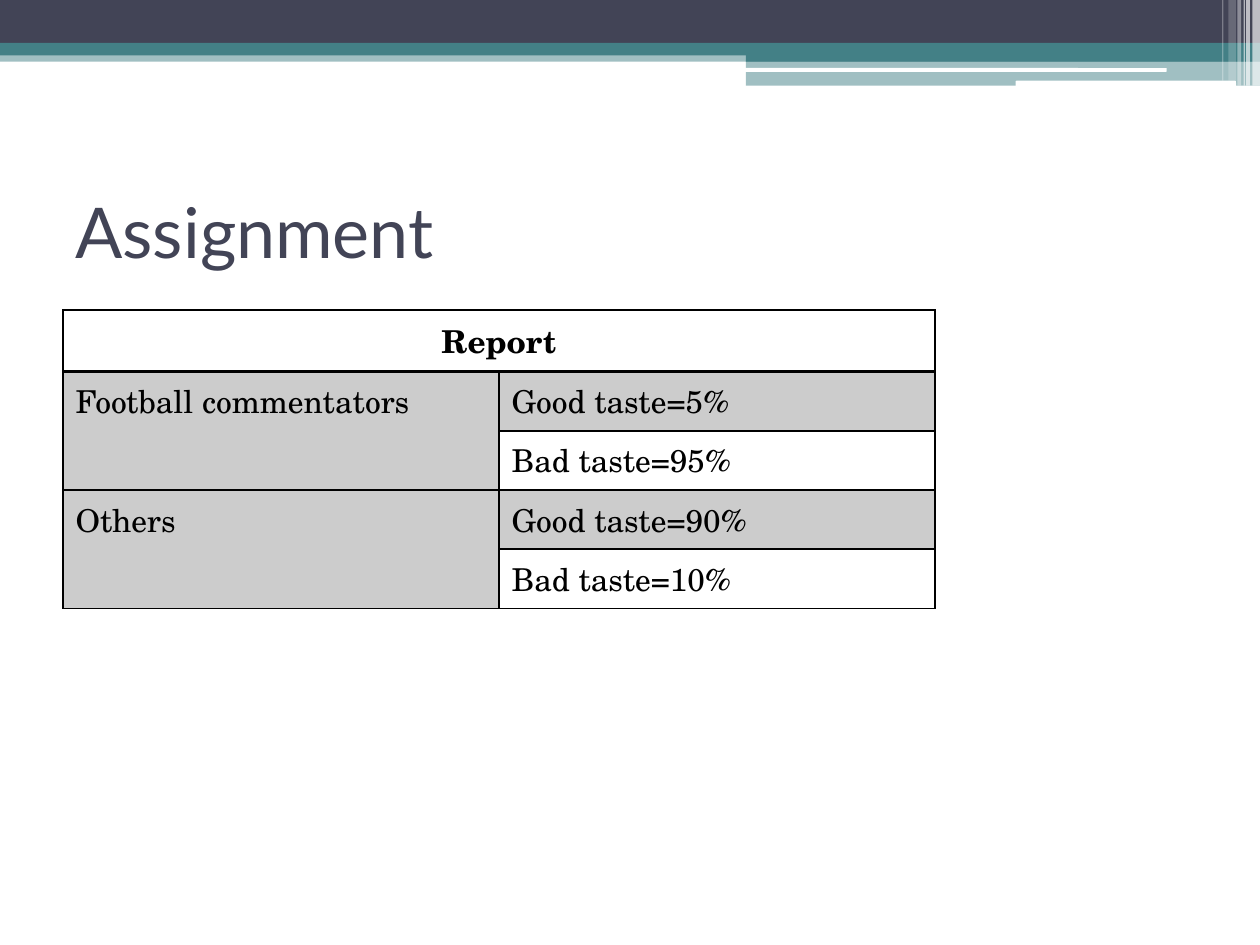
from lxml import etree
from pptx import Presentation
from pptx.dml.color import RGBColor
from pptx.enum import shapes, text
from pptx.oxml.ns import qn
from pptx.util import Inches, Pt

HUES = {"navy": "424456", "teal": "438086", "white": "FFFFFF", "black": "000000"}


def paint(fill, node, hue, alpha):
    """Fill solidly; node is the XML element that holds the fill."""
    fill.solid()
    fill.fore_color.rgb = RGBColor.from_string(HUES[hue])
    if alpha < 100:
        color = node.find(qn("a:solidFill"))[0]
        etree.SubElement(color, qn("a:alpha"), val=str(alpha * 1000))


def write(frame, words, size, font, hue, bold=False):
    run = frame.paragraphs[0].add_run()
    run.text = words
    run.font.size = Pt(size)
    run.font.name = font
    run.font.bold = bold
    run.font.color.rgb = RGBColor.from_string(HUES[hue])


deck = Presentation()
deck.slide_width, deck.slide_height = Inches(10), Inches(7.5)
slide = deck.slides.add_slide(deck.slide_layouts[6])

# Header bands and the stripes at the right edge
RECT = shapes.MSO_SHAPE.RECTANGLE
ROUND = shapes.MSO_SHAPE.ROUNDED_RECTANGLE
bands = [
    (RECT, 0, 0.4, 10, 0.09, "teal", 50),
    (RECT, 0, 0, 10, 0.34, "navy", 100),
    (RECT, 0, 0.34, 10, 0.1, "teal", 100),
    (RECT, 5.92, 0.39, 4.08, 0.1, "teal", 100),
    (RECT, 5.92, 0.48, 4.08, 0.2, "teal", 50),
    (ROUND, 5.91, 0.54, 3.35, 0.03, "white", 100),
    (ROUND, 8.06, 0.64, 1.75, 0.05, "white", 100),
]
stripes = [
    (9.94, 0.06, 0.68, 65), (9.89, 0.03, 0.68, 65), (9.87, 0.01, 0.68, 60),
    (9.82, 0.03, 0.68, 40), (9.75, 0.06, 0.64, 20), (9.7, 0.01, 0.64, 30),
]
bands += [(RECT, x, 0, w, h, "white", alpha) for x, w, h, alpha in stripes]
for kind, x, y, w, h, hue, alpha in bands:
    band = slide.shapes.add_shape(kind, Inches(x), Inches(y), Inches(w), Inches(h))
    band.shadow.inherit = False
    band.line.fill.background()
    paint(band.fill, band.element.spPr, hue, alpha)

title = slide.shapes.add_textbox(Inches(0.5), Inches(1.25), Inches(9), Inches(1.16))
title.text_frame.word_wrap = True
title.text_frame.vertical_anchor = text.MSO_ANCHOR.MIDDLE
write(title.text_frame, "Assignment", 40, "Lato", "navy")

# Report table
rows = [
    ("Report", ""),
    ("Football commentators", "Good taste=5%"),
    ("", "Bad taste=95%"),
    ("Others", "Good taste=90%"),
    ("", "Bad taste=10%"),
]
table = slide.shapes.add_table(
    5, 2, Inches(0.5), Inches(2.46), Inches(6.92), Inches(2.37)).table
table.first_row = table.horz_banding = False
for col in table.columns:
    col.width = Inches(3.46)
for r, row in enumerate(table.rows):
    row.height = Inches(0.47 if r else 0.49)
table.cell(0, 0).merge(table.cell(0, 1))
for top in (1, 3):
    table.cell(top, 0).merge(table.cell(top + 1, 0))

for r, row in enumerate(rows):
    for c, words in enumerate(row):
        cell = table.cell(r, c)
        props = cell._tc.get_or_add_tcPr()
        for side in "LRTB":
            thick = (r, side) in ((0, "B"), (1, "T"))
            edge = etree.SubElement(
                props, qn("a:ln" + side), w=str(Pt(2 if thick else 1)))
            solid = etree.SubElement(edge, qn("a:solidFill"))
            etree.SubElement(solid, qn("a:srgbClr"), val=HUES["black"])
        if r and (c == 0 or r % 2):
            paint(cell.fill, props, "black", 20)
        else:
            cell.fill.background()
        if words:
            write(cell.text_frame, words, 18, "TeX Gyre Schola", "black", r == 0)
table.cell(0, 0).text_frame.paragraphs[0].alignment = text.PP_ALIGN.CENTER

deck.save("out.pptx")
